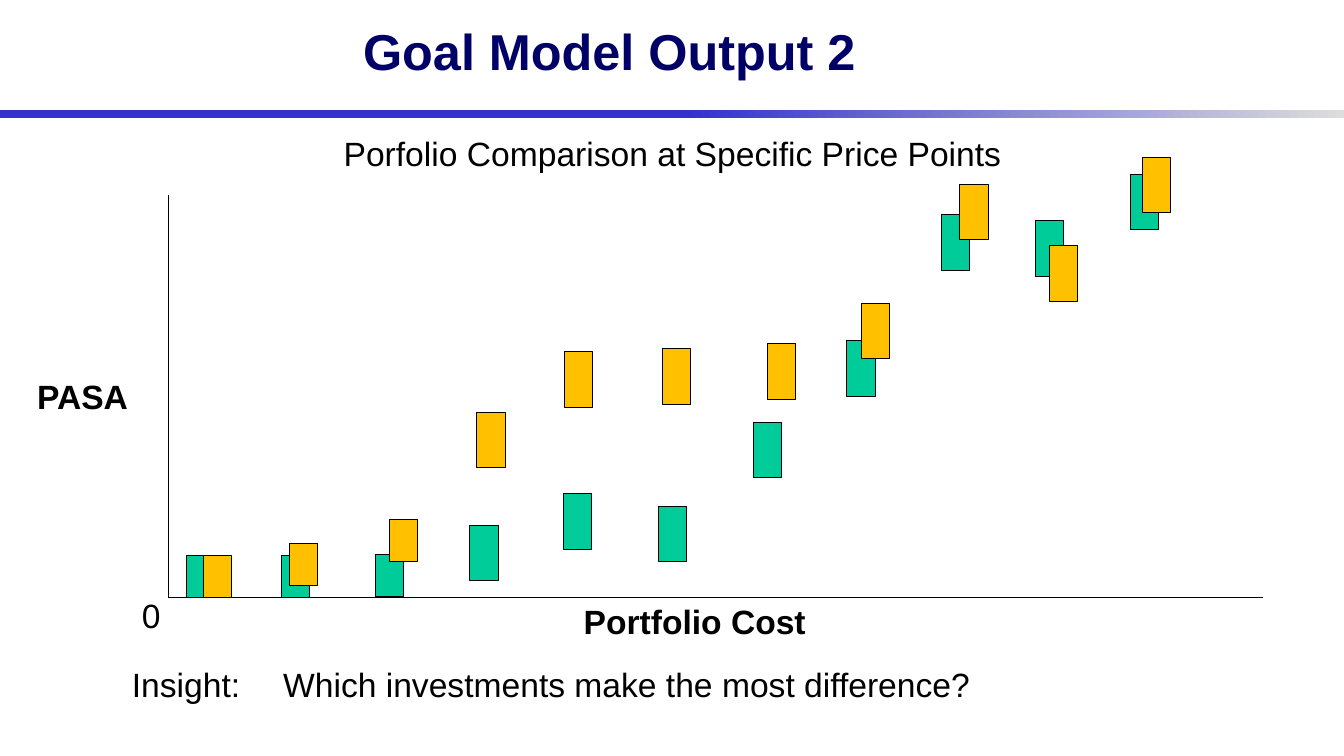
from lxml.etree import SubElement
from pptx import Presentation
from pptx.dml.color import RGBColor
from pptx.enum.shapes import MSO_CONNECTOR, MSO_SHAPE
from pptx.enum.text import MSO_ANCHOR, PP_ALIGN
from pptx.oxml.ns import qn
from pptx.util import Pt

PX = 9144  # 100 px to the inch


def color(hex_text):
    return RGBColor.from_string(hex_text)


def add_text(text, left, top, width, height=50, size=24, ink="000000",
             bold=False, align=PP_ALIGN.LEFT, anchor=MSO_ANCHOR.TOP, wrap=False):
    box = slide.shapes.add_textbox(left * PX, top * PX, width * PX, height * PX)
    frame = box.text_frame
    frame.word_wrap = wrap
    frame.vertical_anchor = anchor
    paragraph = frame.paragraphs[0]
    paragraph.alignment = align
    run = paragraph.add_run()
    run.text = text
    run.font.name = "Arial"
    run.font.size = Pt(size)
    run.font.bold = bold
    run.font.color.rgb = color(ink)


prs = Presentation()
prs.slide_width = 1333 * PX
prs.slide_height = 750 * PX
slide = prs.slides.add_slide(prs.slide_layouts[6])

# Title and the fading rule below it
rule = slide.shapes.add_shape(MSO_SHAPE.RECTANGLE, 0, 109 * PX, 1333 * PX, 8 * PX)
rule.shadow.inherit = False
rule.line.fill.background()
rule.fill.gradient()
rule.fill.gradient_angle = 0
for stop, position, shade in zip(rule.fill.gradient_stops, (0.51, 1), ("3333CC", "DDDDDD")):
    stop.position = position
    stop.color.rgb = color(shade)
add_text("Goal Model Output 2", 114, -13, 981, 125, size=36, ink="000066", bold=True,
         align=PP_ALIGN.CENTER, anchor=MSO_ANCHOR.MIDDLE, wrap=True)

# Axes: PASA upwards, cost to the right
for x1, y1, x2, y2 in [(167, 193, 167, 593), (1253, 593, 167, 593)]:
    axis = slide.shapes.add_connector(MSO_CONNECTOR.STRAIGHT, x1 * PX, y1 * PX, x2 * PX, y2 * PX)
    axis.line.color.rgb = color("000000")
    axis.line.width = Pt(0.75)
    SubElement(axis.element.spPr, qn("a:effectLst"))

# Axis labels, heading and insight
add_text("PASA", 27, 368, 111, bold=True)
add_text("Portfolio Cost", 569, 591, 242, bold=True)
add_text("0", 131, 585, 39)
add_text("Porfolio Comparison at Specific Price Points", 331, 127, 679)
add_text("Insight:\tWhich investments make the most difference?", 121, 654, 1178, wrap=True)

# The two portfolios: left and top of the marker at each price point
green_tops = [551, 551, 550, 521, 490, 502, 419, 338, 213, 219, 173]
green_markers = [(round(185 + 93.6 * i), top) for i, top in enumerate(green_tops)]
orange_markers = [(202, 551), (287, 539), (386, 515), (473, 409), (560, 349), (657, 346),
                  (761, 341), (854, 301), (952, 183), (1041, 244), (1133, 156)]
for fill, markers in [("00CC99", green_markers), ("FFC000", orange_markers)]:
    for i, (left, top) in enumerate(markers):
        height = 42 if i < 3 else 55
        marker = slide.shapes.add_shape(MSO_SHAPE.RECTANGLE, left * PX, top * PX, 28 * PX, height * PX)
        marker.shadow.inherit = False
        marker.fill.solid()
        marker.fill.fore_color.rgb = color(fill)
        marker.line.color.rgb = color("000000")
        marker.line.width = Pt(0.75)

prs.save("out.pptx")
